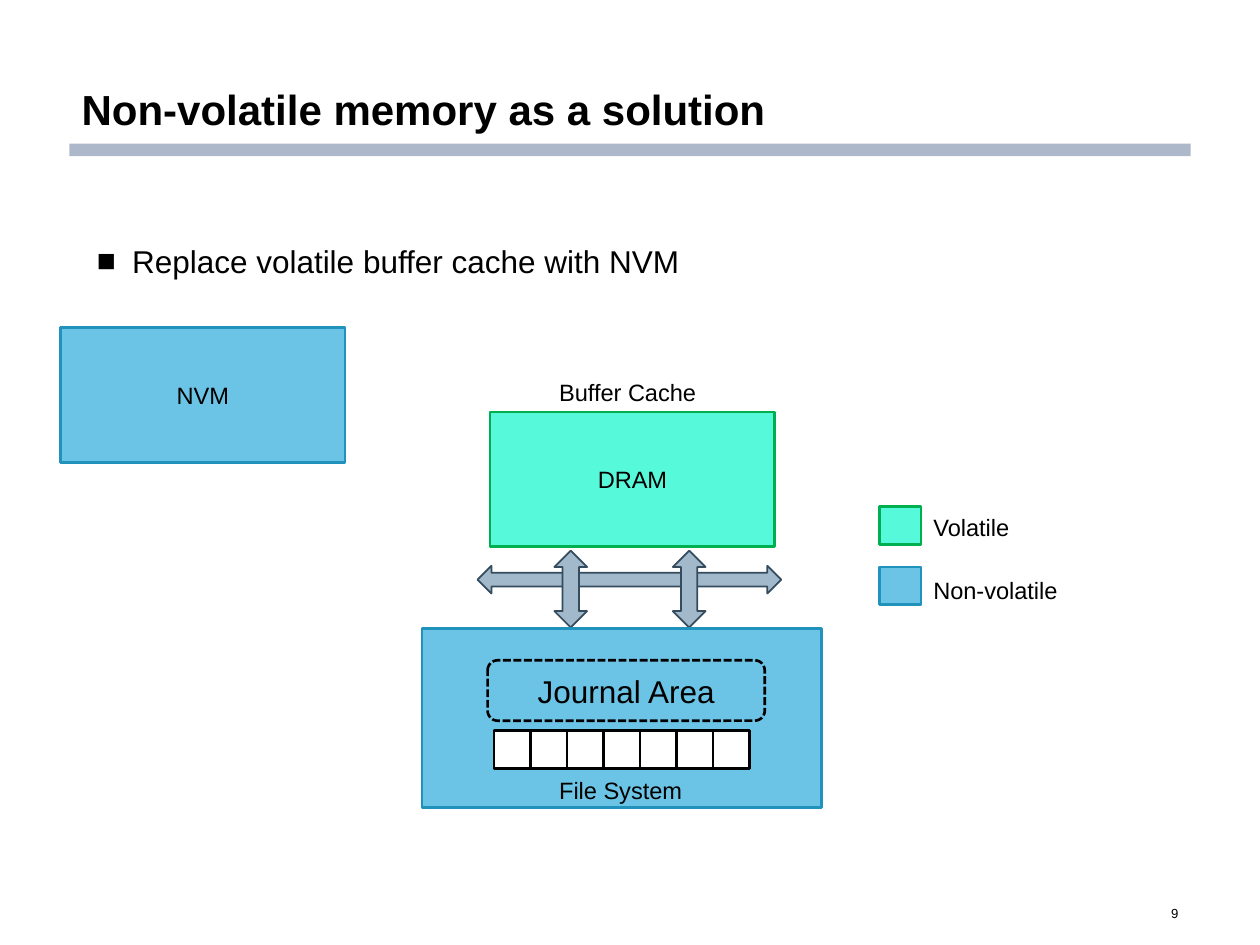
from lxml.etree import SubElement
from pptx import Presentation
from pptx.dml.color import RGBColor
from pptx.enum.dml import MSO_LINE
from pptx.enum.shapes import MSO_SHAPE
from pptx.enum.text import MSO_ANCHOR, PP_ALIGN
from pptx.oxml.ns import qn
from pptx.util import Inches, Pt

BLACK = RGBColor(0x00, 0x00, 0x00)
WHITE = RGBColor(0xFF, 0xFF, 0xFF)
RULE = RGBColor(0xAD, 0xB9, 0xCA)
ARROW = RGBColor(0xA2, 0xB8, 0xCB)
ARROW_EDGE = RGBColor(0x35, 0x4B, 0x5E)
VOLATILE = (RGBColor(0x56, 0xFA, 0xDB), RGBColor(0x00, 0xB0, 0x50))
NON_VOLATILE = (RGBColor(0x6B, 0xC4, 0xE5), RGBColor(0x21, 0x92, 0xBC))
LABEL_SIZE = 13.5
BLOCK_COUNT, BLOCK_PITCH = 7, 0.29


def write(shape, text, size, bold=False, align=PP_ALIGN.LEFT, **frame_format):
    """Put one Arial paragraph in a shape and return the paragraph."""
    frame = shape.text_frame
    frame.word_wrap = True
    for name, value in frame_format.items():
        setattr(frame, name, value)
    paragraph = frame.paragraphs[0]
    paragraph.alignment = align
    run = paragraph.add_run()
    run.text = text
    font_format = {"name": "Arial", "size": Pt(size), "bold": bold}
    for name, value in font_format.items():
        setattr(run.font, name, value)
    run.font.color.rgb = BLACK
    return paragraph


def add_label(slide, box, text, size=LABEL_SIZE, **text_format):
    """Add a text box and return its paragraph."""
    label = slide.shapes.add_textbox(*map(Inches, box))
    return write(label, text, size, **text_format)


def add_figure(slide, kind, box, fill=None, edge=None, width=1.5):
    """Add a flat preset shape with an optional fill and outline."""
    figure = slide.shapes.add_shape(kind, *map(Inches, box))
    figure.shadow.inherit = False
    if fill is None:
        figure.fill.background()
    else:
        figure.fill.solid()
        figure.fill.fore_color.rgb = fill
    if edge is None:
        figure.line.fill.background()
    else:
        figure.line.color.rgb = edge
        figure.line.width = Pt(width)
    return figure


def add_memory(slide, left, top, name, colors):
    """Add a named memory block."""
    memory = add_figure(slide, MSO_SHAPE.RECTANGLE, (left, top, 2.26, 1.07), *colors)
    write(memory, name, LABEL_SIZE, align=PP_ALIGN.CENTER,
          vertical_anchor=MSO_ANCHOR.MIDDLE,
          margin_left=Inches(0.07), margin_right=Inches(0.07),
          margin_top=Inches(0.04), margin_bottom=Inches(0.04))


def add_heading(slide):
    """Add the title, its rule, the page number and the bullet line."""
    add_figure(slide, MSO_SHAPE.RECTANGLE, (0.55, 1.14, 8.9, 0.1), RULE)
    title = add_label(slide, (0.55, 0, 8.9, 1.12), "Non-volatile memory as a solution",
                      24, bold=True, vertical_anchor=MSO_ANCHOR.BOTTOM)
    title.line_spacing = 0.9
    add_label(slide, (7.06, 7.13, 2.39, 0.23), "9", 7.5,
              align=PP_ALIGN.RIGHT, vertical_anchor=MSO_ANCHOR.MIDDLE)
    point = add_label(slide, (0.67, 1.77, 7.7, 0.72),
                      "Replace volatile buffer cache with NVM", 18, margin_top=0)
    point.line_spacing = 1.5
    properties = point._p.get_or_add_pPr()
    properties.set("marL", str(Inches(0.28)))
    properties.set("indent", str(-Inches(0.28)))
    SubElement(properties, qn("a:buFont")).set("typeface", "Arial")
    SubElement(properties, qn("a:buChar")).set("char", "■")


def add_arrows(slide):
    """Add the bus and the two transfer arrows across it."""
    add_figure(slide, MSO_SHAPE.LEFT_RIGHT_ARROW, (3.79, 4.49, 2.41, 0.22),
               ARROW, ARROW_EDGE, 1)
    for left in (4.4, 5.34):
        add_figure(slide, MSO_SHAPE.UP_DOWN_ARROW, (left, 4.37, 0.26, 0.61),
                   ARROW, ARROW_EDGE, 1)


def add_file_system(slide):
    """Add the file system with its journal area and blocks."""
    add_figure(slide, MSO_SHAPE.RECTANGLE, (3.35, 4.99, 3.17, 1.42), *NON_VOLATILE)
    for index in range(BLOCK_COUNT):
        add_figure(slide, MSO_SHAPE.RECTANGLE,
                   (3.92 + index * BLOCK_PITCH, 5.8, BLOCK_PITCH, 0.3), WHITE, BLACK)
    add_label(slide, (4.34, 6.11, 1.27, 0.33), "File System")
    journal = add_figure(slide, MSO_SHAPE.ROUNDED_RECTANGLE, (3.87, 5.24, 2.2, 0.48),
                         edge=BLACK)
    journal.line.dash_style = MSO_LINE.SQUARE_DOT
    write(journal, "Journal Area", 18, align=PP_ALIGN.CENTER,
          vertical_anchor=MSO_ANCHOR.MIDDLE)


def add_legend(slide):
    """Add the colour key."""
    for swatch_top, label_top, name, colors in (
        (4.02, 4.02, "Volatile", VOLATILE),
        (4.5, 4.52, "Non-volatile", NON_VOLATILE),
    ):
        add_figure(slide, MSO_SHAPE.RECTANGLE, (6.98, swatch_top, 0.33, 0.3), *colors)
        add_label(slide, (7.31, label_top, 1.27, 0.33), name)


def main():
    """Build and save the slide."""
    deck = Presentation()
    deck.slide_width, deck.slide_height = Inches(10), Inches(7.5)
    slide = deck.slides.add_slide(deck.slide_layouts[6])
    add_heading(slide)
    add_arrows(slide)
    add_memory(slide, 3.89, 3.27, "DRAM", VOLATILE)
    add_label(slide, (4.34, 2.95, 1.36, 0.33), "Buffer Cache")
    add_file_system(slide)
    add_legend(slide)
    add_memory(slide, 0.48, 2.6, "NVM", NON_VOLATILE)
    deck.save("out.pptx")


if __name__ == "__main__":
    main()
